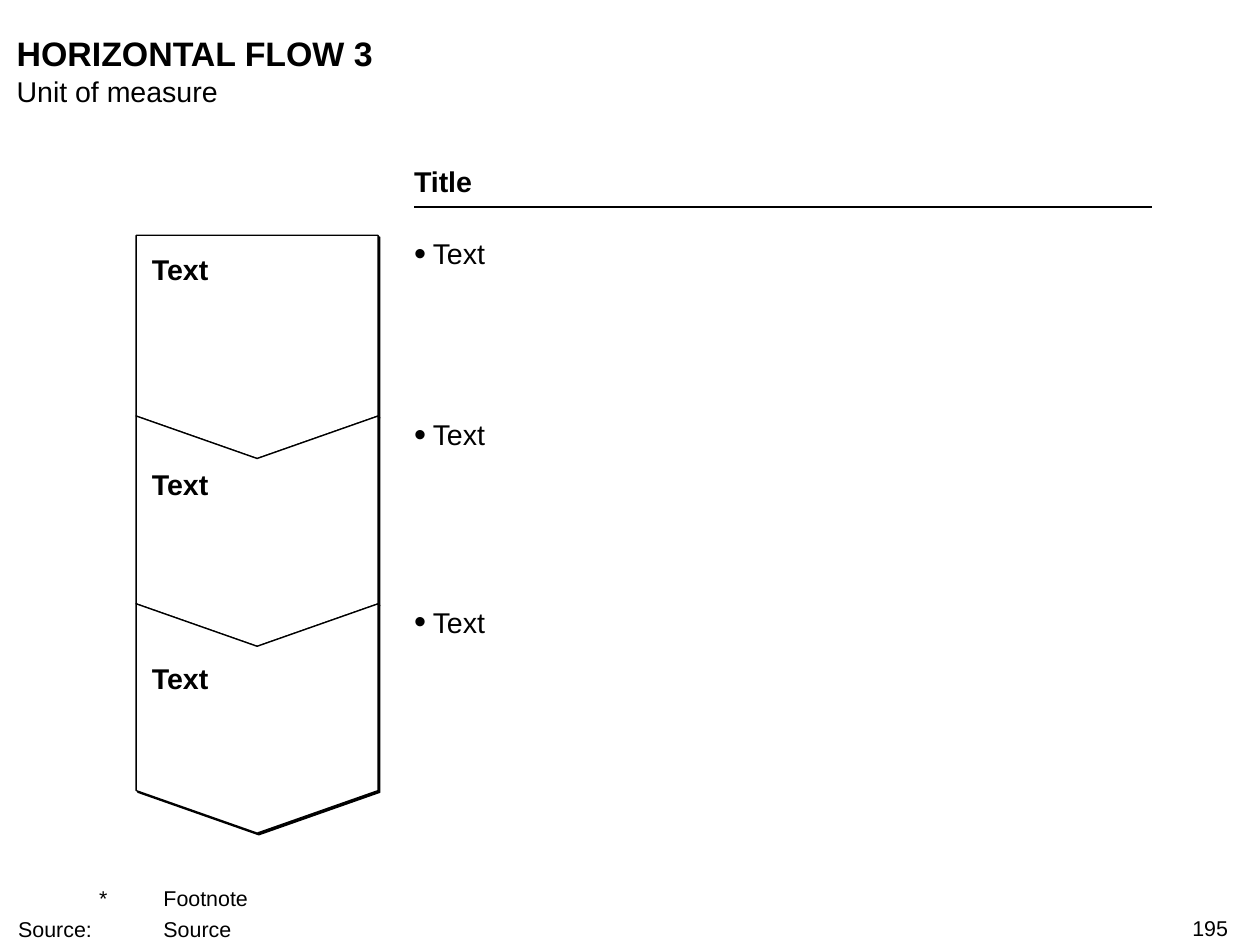
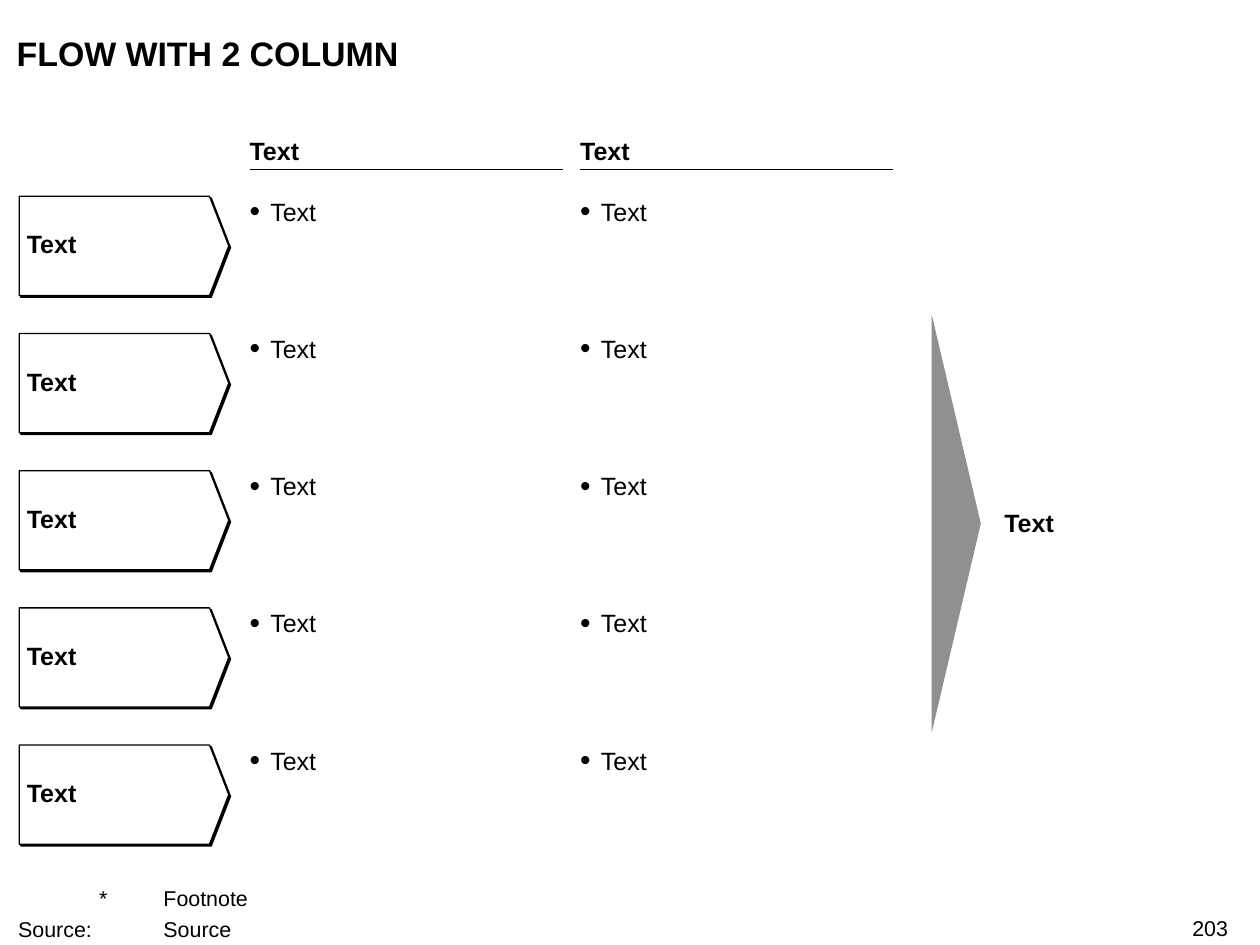
import pptx
import pptx.dml.color
import pptx.enum.shapes
import pptx.enum.text
import pptx.oxml
import pptx.oxml.ns
import pptx.util
import lxml.etree

Cm = pptx.util.Cm
Pt = pptx.util.Pt
qn = pptx.oxml.ns.qn
RGBColor = pptx.dml.color.RGBColor
ANCHOR = pptx.enum.text.MSO_ANCHOR
ALIGN = pptx.enum.text.PP_ALIGN
COLORS = {"ink": "000000", "paper": "FFFFFF", "arrow": "909090"}
FONT = "Arial"


def add_text(shapes, text, box, shape=None, size=14, bold=False, anchor=ANCHOR.TOP,
             align=ALIGN.LEFT, bullet=None, hanging=None, tabs=(), gap=0):
    left, top, width, height = [Cm(value) for value in box]
    if shape is None:
        shape = shapes.add_textbox(left, top, width, height)
    shape.left, shape.top, shape.width, shape.height = left, top, width, height
    frame = shape.text_frame
    frame.margin_left = frame.margin_top = frame.margin_right = frame.margin_bottom = 0
    frame.auto_size = pptx.enum.text.MSO_AUTO_SIZE.NONE
    frame.word_wrap = True
    frame.vertical_anchor = anchor
    for index, line in enumerate(text.split("\n")):
        paragraph = frame.add_paragraph() if index else frame.paragraphs[0]
        paragraph.alignment = align
        if index:
            paragraph.space_before = Pt(gap)
        properties = paragraph._p.get_or_add_pPr()
        if hanging:
            properties.set("marL", str(Cm(hanging)))
            properties.set("indent", str(-Cm(hanging)))
        if bullet:
            color = lxml.etree.SubElement(properties, qn("a:buClr"))
            lxml.etree.SubElement(color, qn("a:srgbClr"), val=COLORS["ink"])
            lxml.etree.SubElement(properties, qn("a:buSzPct"), val="120000")
            lxml.etree.SubElement(properties, qn("a:buFont"), typeface=FONT)
            lxml.etree.SubElement(properties, qn("a:buChar"), char=bullet)
        if tabs:
            tab_list = lxml.etree.SubElement(properties, qn("a:tabLst"))
            for position in tabs:
                lxml.etree.SubElement(tab_list, qn("a:tab"), pos=str(Cm(position)), algn="l")
        run = paragraph.add_run()
        run.text = line
        run.font.name = FONT
        run.font.size = Pt(size)
        run.font.bold = bold
        run.font.color.rgb = RGBColor.from_string(COLORS["ink"])


def add_flow_step(shapes, points):
    points = [(Cm(x), Cm(y)) for x, y in points]
    builder = shapes.build_freeform(*points[0], scale=1.0)
    builder.add_line_segments(points[1:], close=True)
    shape = builder.convert_to_shape()
    shape.fill.solid()
    shape.fill.fore_color.rgb = RGBColor.from_string(COLORS["paper"])
    shape.line.color.rgb = RGBColor.from_string(COLORS["ink"])
    shape.line.width = Pt(0.75)
    shape.shadow.inherit = False
    effects = shape._element.spPr.find(qn("a:effectLst"))
    shadow = lxml.etree.SubElement(effects, qn("a:outerShdw"), dist=str(Pt(1.4)),
                                   dir="2700000", algn="ctr", rotWithShape="0")
    lxml.etree.SubElement(shadow, qn("a:srgbClr"), val=COLORS["ink"])


presentation = pptx.Presentation()
presentation.slide_width = Cm(24.89)
presentation.slide_height = Cm(18.67)

slides = []
for title, number in [("HORIZONTAL FLOW 3", "195"), ("FLOW WITH 2 COLUMN", "203")]:
    slide = presentation.slides.add_slide(presentation.slide_layouts[5])
    add_text(slide.shapes, title, (0.33, 0.64, 23.95, 0.81), shape=slide.shapes.title,
             size=19, bold=True)
    add_text(slide.shapes, "\t*\tFootnote\nSource:\t\tSource", (0.36, 17.48, 22.68, 1.12),
             size=12, anchor=ANCHOR.BOTTOM, hanging=1.6, tabs=(0, 2.49), gap=3)
    add_text(slide.shapes, number, (19.08, 18.08, 5.18, 0.51), size=12, align=ALIGN.RIGHT)
    slides.append(slide)
vertical_flow, column_flow = slides

column_lefts = (4.93, 11.46)
column_width = 6.19
headings = [(vertical_flow, "Title", 8.18, 3.25, 14.58, 16, 4.09)]
headings += [(column_flow, "Text", left, 2.69, column_width, 14, 3.35) for left in column_lefts]
for slide, text, left, top, width, size, rule_top in headings:
    add_text(slide.shapes, text, (left, top, width, size * 0.042), size=size, bold=True,
             anchor=ANCHOR.BOTTOM)
    rule = slide.shapes.add_connector(pptx.enum.shapes.MSO_CONNECTOR.STRAIGHT,
                                      Cm(left), Cm(rule_top), Cm(left + width), Cm(rule_top))
    rule.line.color.rgb = RGBColor.from_string(COLORS["ink"])
    rule.line.width = Pt(0.75)
    lxml.etree.SubElement(rule._element.spPr, qn("a:effectLst"))

add_text(vertical_flow.shapes, "Unit of measure", (0.33, 1.47, 23.95, 0.69), size=16)
step_left, step_middle, step_right = 2.69, 5.08, 7.47
point_depth = 0.84
step_edges = (4.65, 8.22, 11.93, 15.62)
label_tops = (4.98, 9.22, 13.06)
for index, label_top in enumerate(label_tops):
    top, bottom = step_edges[index:index + 2]
    points = [(step_right, top), (step_right, bottom), (step_middle, bottom + point_depth),
              (step_left, bottom), (step_left, top)]
    if index:
        points.append((step_middle, top + point_depth))
    add_flow_step(vertical_flow.shapes, points)
    add_text(vertical_flow.shapes, "Text", (3.0, label_top, 4.19, 0.69), size=16, bold=True)
    add_text(vertical_flow.shapes, "Text", (8.18, top + 0.02, 15.04, 0.69), size=16,
             bullet="•", hanging=0.37)

row_height = 1.96
for row in range(5):
    top = 3.88 + row * 2.71
    bottom = top + row_height
    group = column_flow.shapes.add_group_shape()
    add_flow_step(group.shapes, [(0.38, top), (4.14, top), (4.52, top + row_height / 2),
                                 (4.14, bottom), (0.38, bottom)])
    add_text(group.shapes, "Text", (0.53, top + 0.1, 3.43, 1.68), bold=True,
             anchor=ANCHOR.MIDDLE)
    for left in column_lefts:
        add_text(column_flow.shapes, "Text", (left, top, column_width, 0.59),
                 bullet="•", hanging=0.41)

triangle = column_flow.shapes.add_shape(pptx.enum.shapes.MSO_SHAPE.ISOSCELES_TRIANGLE,
                                        Cm(14.76), Cm(9.86), Cm(8.26), Cm(0.97))
triangle.rotation = 90
triangle.fill.solid()
triangle.fill.fore_color.rgb = RGBColor.from_string(COLORS["arrow"])
triangle.line.fill.background()
triangle.shadow.inherit = False
add_text(column_flow.shapes, "Text", (19.84, 10.03, 4.42, 0.59), bold=True)

presentation.save("out.pptx")
